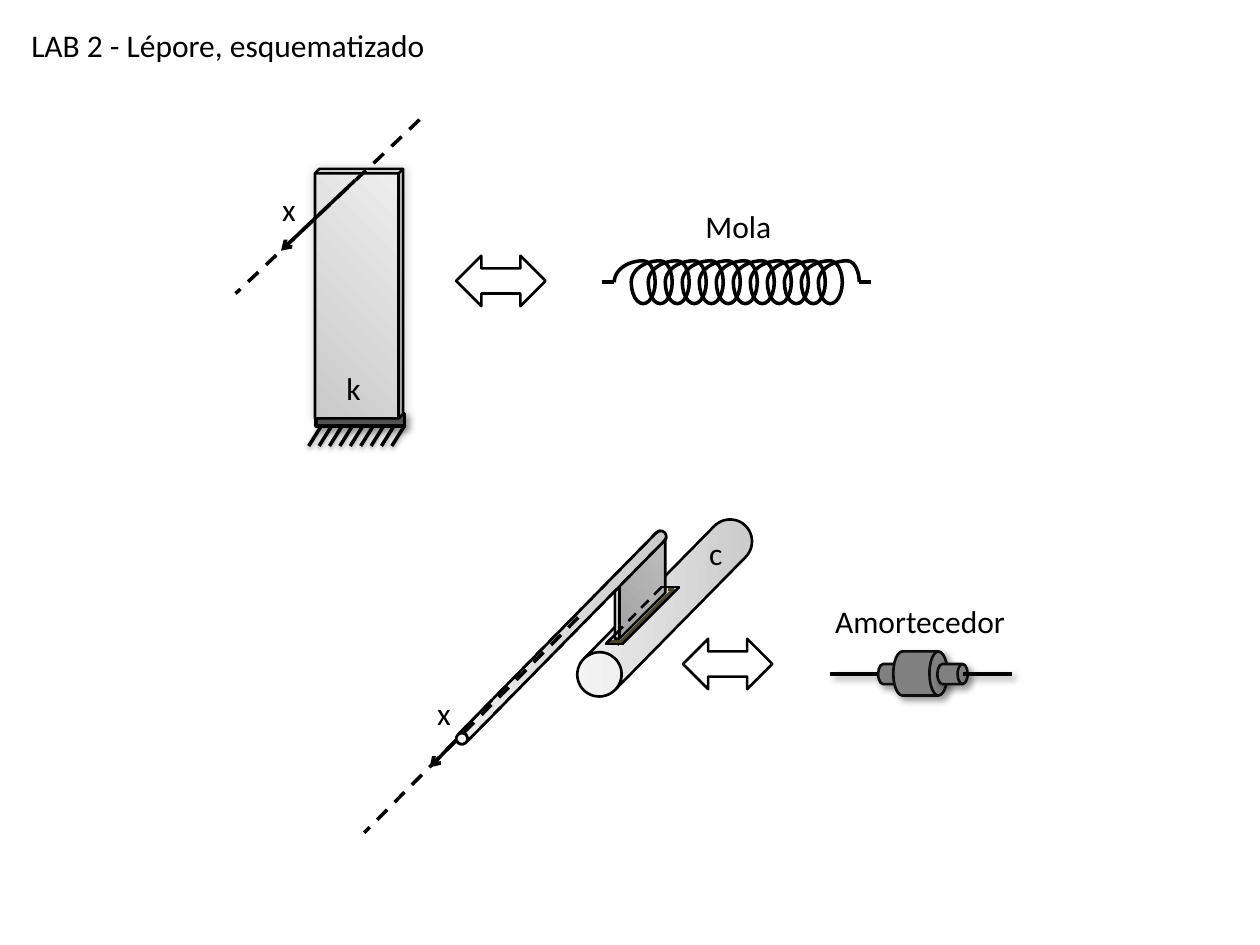
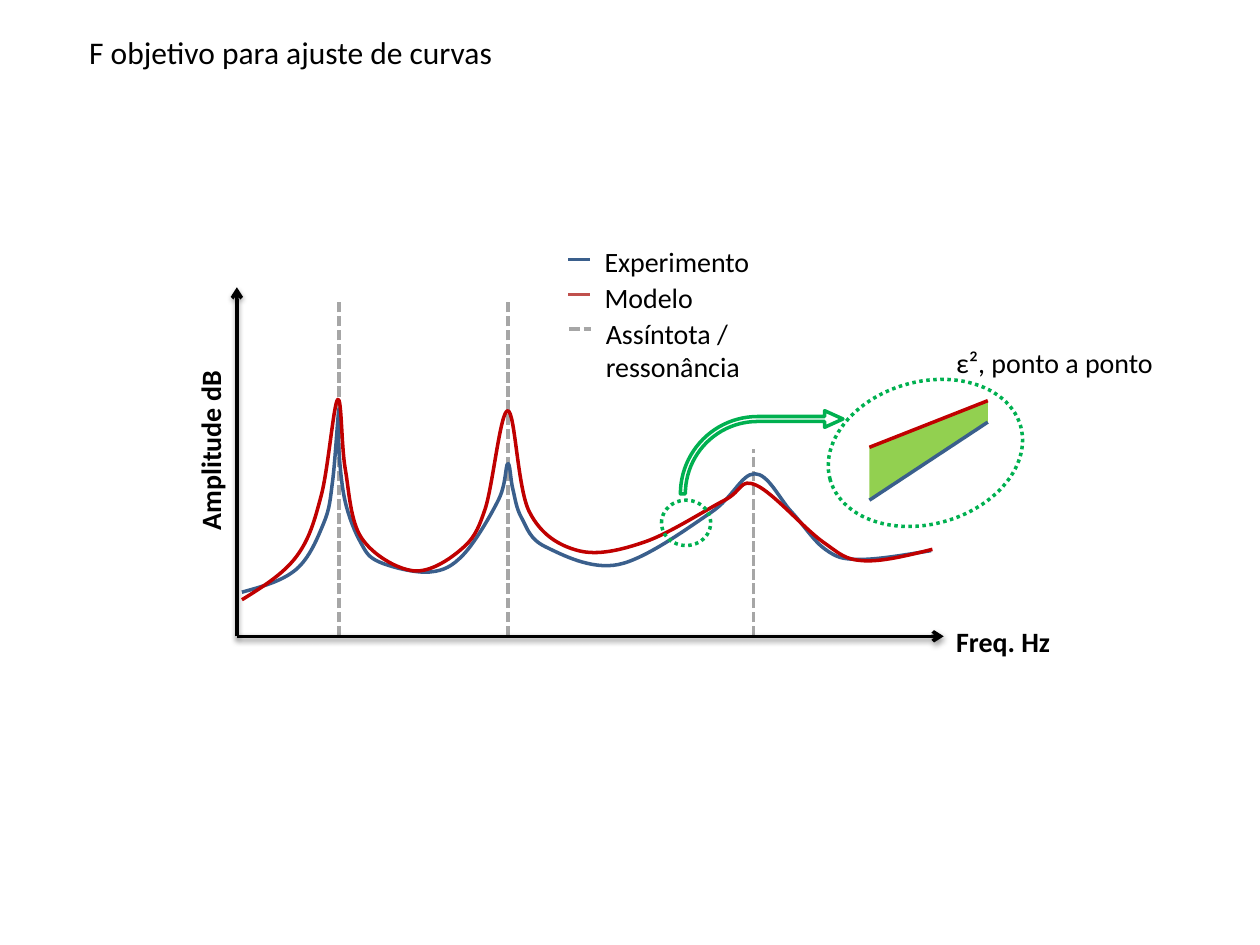
"""Build two slides on a vibration lab: mechanical analogies and curve fitting."""
from copy import deepcopy
from dataclasses import dataclass, replace
from typing import Any

from lxml.etree import SubElement
from pptx import Presentation
from pptx.dml.color import RGBColor
from pptx.enum.dml import MSO_LINE_DASH_STYLE as Dash
from pptx.enum.shapes import MSO_CONNECTOR as Link
from pptx.enum.shapes import MSO_SHAPE as Preset
from pptx.enum.text import MSO_AUTO_SIZE as AutoSize
from pptx.oxml.ns import qn
from pptx.slide import Slide
from pptx.util import Inches, Pt

FONT = "Calibri"
BLACK, GREY, EDGE, OLIVE = "000000", "A6A6A6", "0D0D0D", "4A452A"
BLUE, RED, SOFT_RED, GREEN, LIME = "3A5F8C", "C00000", "C0504D", "00B050", "92D050"
METAL = ("CACACA", "EEEEEE")
TITLE_SIZE, LEGEND_SIZE = 18, 16


@dataclass(frozen=True)
class Stroke:
    """Line look."""
    color: str = BLACK
    width: float = 2
    dash: Any = None
    arrow: bool = False


@dataclass(frozen=True)
class Shade:
    """Outer shadow: opacity in percent, blur and distance in points, angle in degrees."""
    opacity: int
    blur: float
    distance: float
    angle: int


@dataclass(frozen=True)
class Segment:
    """Straight line between two points."""
    x1: float
    y1: float
    x2: float
    y2: float
    stroke: Stroke = Stroke()
    shade: Shade | None = None


@dataclass(frozen=True)
class Solid:
    """Preset outline with no, plain or gradient fill."""
    preset: Any
    left: float
    top: float
    width: float
    height: float
    stroke: Stroke = Stroke()
    fill: tuple[str, ...] = ()
    adjust: tuple[float, ...] = ()
    rotation: float = 0
    shade: Shade | None = None


@dataclass(frozen=True)
class Label:
    """Text in one format."""
    text: str
    left: float
    top: float
    width: float
    height: float = 0.4
    size: int = TITLE_SIZE
    bold: bool = False
    rotation: float = 0
    wrap: bool = False


@dataclass(frozen=True)
class Outline:
    """Freeform through knots: a smooth open curve or a filled polygon."""
    knots: tuple[tuple[float, float], ...]
    stroke: Stroke | None = None
    fill: tuple[str, ...] = ()


THIN = Stroke(width=1.5)
THIN_DASH = Stroke(width=1.5, dash=Dash.DASH)
AXIS_DASH = Stroke(dash=Dash.DASH)
ARROW = Stroke(arrow=True)
RESONANCE = Stroke(GREY, dash=Dash.SQUARE_DOT)
FOCUS = Stroke(GREEN, dash=Dash.ROUND_DOT)
CAST = Shade(40, 4, 3, 45)
SOFT = Shade(38, 3.1, 1.6, 90)
HALO = Shade(20, 6, 0, 315)


def rgb(color: str) -> RGBColor:
    """Turn a hex string into a colour."""
    return RGBColor.from_string(color)


def apply(target: Any, values: dict[str, Any]) -> None:
    """Set every attribute of the dict on the target."""
    for attribute, value in values.items():
        setattr(target, attribute, value)


def paint_line(shape: Any, stroke: Stroke | None) -> None:
    """Give a shape or connector its line."""
    line = shape.line
    if stroke is None:
        line.fill.background()
        return
    line.color.rgb = rgb(stroke.color)
    apply(line, {"width": Pt(stroke.width), "dash_style": stroke.dash})
    if stroke.arrow:
        SubElement(shape._element.spPr.find(qn("a:ln")), qn("a:tailEnd"), type="arrow")


def paint_fill(shape: Any, colors: tuple[str, ...]) -> None:
    """Fill with nothing, one colour or a gradient."""
    if not colors:
        shape.fill.background()
    elif len(colors) == 1:
        shape.fill.solid()
        shape.fill.fore_color.rgb = rgb(colors[0])
    else:
        shape.fill.gradient()
        shape.fill.gradient_angle = 45
        for stop, color in zip(shape.fill.gradient_stops, colors):
            stop.color.rgb = rgb(color)


def cast_shadow(shape: Any, shade: Shade | None) -> None:
    """Replace the theme shadow by the given one or by none."""
    effects = SubElement(shape._element.spPr, qn("a:effectLst"))
    if shade:
        outer = SubElement(effects, qn("a:outerShdw"), blurRad=str(Pt(shade.blur)),
                           dist=str(Pt(shade.distance)), dir=str(shade.angle * 60000),
                           algn="ctr", rotWithShape="0")
        color = SubElement(outer, qn("a:srgbClr"), val=BLACK)
        SubElement(color, qn("a:alpha"), val=str(shade.opacity * 1000))


def draw_segment(slide: Slide, item: Segment) -> None:
    """Draw a straight line."""
    ends = map(Inches, (item.x1, item.y1, item.x2, item.y2))
    connector = slide.shapes.add_connector(Link.STRAIGHT, *ends)
    paint_line(connector, item.stroke)
    cast_shadow(connector, item.shade)


def draw_solid(slide: Slide, item: Solid) -> None:
    """Draw a preset shape."""
    frame = map(Inches, (item.left, item.top, item.width, item.height))
    shape = slide.shapes.add_shape(item.preset, *frame)
    shape.rotation = item.rotation
    for index, value in enumerate(item.adjust):
        shape.adjustments[index] = value
    paint_fill(shape, item.fill)
    paint_line(shape, item.stroke)
    cast_shadow(shape, item.shade)


def draw_label(slide: Slide, item: Label) -> None:
    """Draw a text box."""
    frame = map(Inches, (item.left, item.top, item.width, item.height))
    box = slide.shapes.add_textbox(*frame)
    box.rotation = item.rotation
    apply(box.text_frame, {"text": item.text, "word_wrap": item.wrap,
                           "auto_size": AutoSize.SHAPE_TO_FIT_TEXT})
    font = box.text_frame.paragraphs[0].runs[0].font
    apply(font, {"name": FONT, "size": Pt(item.size), "bold": item.bold})
    font.color.rgb = rgb(BLACK)


def smooth_path(shape: Any) -> None:
    """Turn the straight segments of a freeform into a spline through its knots."""
    path = shape._element.spPr.find(".//" + qn("a:path"))
    knots = [(int(pt.get("x")), int(pt.get("y"))) for pt in path.iter(qn("a:pt"))]
    last = len(knots) - 1

    def handle(index: int, side: int) -> tuple[float, ...]:
        """Control point beside an inner knot."""
        return tuple(k + side * (b - a) / 6 for a, k, b in
                     zip(knots[index - 1], knots[index], knots[index + 1]))

    def middle(a: tuple[float, ...], b: tuple[float, ...]) -> tuple[float, ...]:
        """Point halfway between two points."""
        return tuple((p + q) / 2 for p, q in zip(a, b))

    for index, straight in enumerate(path.findall(qn("a:lnTo"))):
        end = index + 1
        if index == 0:
            arrive = handle(end, -1)
            leave = middle(knots[0], arrive)
        else:
            leave = handle(index, 1)
            arrive = middle(leave, knots[end]) if end == last else handle(end, -1)
        bend = SubElement(path, qn("a:cubicBezTo"))
        for x, y in (leave, arrive):
            SubElement(bend, qn("a:pt"), x=str(round(x)), y=str(round(y)))
        bend.append(deepcopy(straight[0]))
        path.remove(straight)


def draw_outline(slide: Slide, item: Outline) -> None:
    """Draw a freeform."""
    start, *others = [(Inches(x), Inches(y)) for x, y in item.knots]
    builder = slide.shapes.build_freeform(*start)
    builder.add_line_segments(others, close=bool(item.fill))
    shape = builder.convert_to_shape()
    paint_fill(shape, item.fill)
    paint_line(shape, item.stroke)
    cast_shadow(shape, None)
    if not item.fill:
        smooth_path(shape)


DRAWERS = {Segment: draw_segment, Solid: draw_solid, Label: draw_label, Outline: draw_outline}


def spring() -> list[Any]:
    """Coil spring with its leads and name."""
    pitch, turns, top, height, axis = 0.135, 12, 2.07, 0.34, 2.24
    parts: list[Any] = []
    for turn in range(turns + 1):
        left = 5.01 + turn * pitch
        finish = 215.89 if turn == turns else 108.12
        parts += [Solid(Preset.ARC, left - pitch, top, 0.46, height, adjust=(107.91, 161.95)),
                  Solid(Preset.ARC, left, top, 0.19, height, adjust=(161.12, finish))]
    leads = [Segment(x, axis, x + 0.09, axis) for x in (4.78, 6.82)]
    return parts + leads + [Label("Mola", 5.5, 1.59, 0.73)]


def blade() -> list[Any]:
    """Clamped blade with its displacement axis."""
    hatches = [Segment(2.45 + i * 0.0825, 3.54, 2.55 + i * 0.0825, 3.38, shade=SOFT)
               for i in range(9)]
    return [Solid(Preset.LEFT_RIGHT_ARROW, 3.62, 2.03, 0.71, 0.4, THIN),
            Label("x", 2.14, 1.46, 0.31),
            Solid(Preset.RECTANGLE, 2.81, 2.98, 0.1, 0.7, fill=("595959",),
                  rotation=270, shade=CAST),
            *hatches,
            Solid(Preset.CUBE, 2.5, 1.34, 0.7, 1.98, THIN, METAL, (0.05,), shade=HALO),
            Label("k", 2.65, 2.88, 0.32),
            Segment(2.82, 1.43, 2.23, 1.99, ARROW),
            Segment(3.33, 0.95, 1.87, 2.33, AXIS_DASH)]


def tube() -> list[Any]:
    """Rod and plate sliding over a slotted tube."""
    slot = Stroke(OLIVE, 1.5)
    back, side = Segment(5.24, 4.66, 5.39, 4.66, THIN), Segment(5.25, 4.66, 4.81, 5.11, THIN)
    rod = Solid(Preset.CAN, 4.41, 3.89, 0.09, 2.34, THIN, METAL, (1.01,), 224.5)
    return [Segment(4.12, 5.37, 3.41, 6.09, ARROW),
            replace(rod, left=5.1, top=3.91, width=0.35, height=1.83),
            Segment(5.35, 4.67, 4.9, 5.12, slot),
            Segment(4.82, 5.09, 4.97, 5.09, slot),
            Segment(5.3, 4.68, 5.35, 4.68, slot),
            back, side,
            Solid(Preset.CUBE, 4.88, 4.26, 0.4, 0.81, THIN, METAL, (0.91,)),
            rod, replace(rod, stroke=THIN_DASH, fill=()),
            Segment(4.8, 5.11, 4.95, 5.11, THIN),
            Segment(5.39, 4.66, 4.94, 5.11, THIN),
            replace(back, stroke=THIN_DASH), replace(side, stroke=THIN_DASH),
            Label("c", 5.53, 4.19, 0.31),
            Solid(Preset.LEFT_RIGHT_ARROW, 5.42, 5.07, 0.71, 0.4, THIN)]


def damper() -> list[Any]:
    """Damper symbol with its rods, name and axis."""
    drums = [Solid(Preset.FLOWCHART_DIRECT_ACCESS_STORAGE, *frame, Stroke(EDGE, 1.5),
                   ("808080",), shade=CAST)
             for frame in ((6.97, 5.27, 0.24, 0.16), (7.09, 5.17, 0.43, 0.35),
                           (7.44, 5.27, 0.24, 0.16))]
    left_rod, right_rod = [Segment(x, 5.35, x + 0.39, 5.35, shade=CAST) for x in (6.59, 7.64)]
    return [left_rod, *drums, right_rod, Label("Amortecedor", 6.53, 4.73, 1.56),
            Label("x", 3.37, 5.46, 0.31), Segment(4.59, 4.9, 2.89, 6.61, AXIS_DASH)]


def response_plot() -> list[Any]:
    """Axes, resonances, legend and the two response curves."""
    base = 5.05
    experiment = ((1.92, 4.7), (2.35, 4.52), (2.57, 4.15), (2.64, 3.82), (2.69, 3.25),
                  (2.69, 3.57), (2.74, 3.98), (2.86, 4.3), (3.01, 4.46), (3.41, 4.54),
                  (3.68, 4.4), (3.96, 3.96), (4.03, 3.68), (4.07, 3.88), (4.14, 4.11),
                  (4.33, 4.34), (4.91, 4.48), (5.64, 4.07), (5.99, 3.76), (6.28, 4.06),
                  (6.55, 4.36), (6.82, 4.44), (7.39, 4.37))
    model = ((1.92, 4.76), (2.35, 4.42), (2.55, 3.93), (2.68, 3.17), (2.74, 3.72),
             (2.87, 4.27), (3.28, 4.53), (3.66, 4.36), (3.85, 4.04), (4.03, 3.26),
             (4.2, 4.06), (4.59, 4.37), (5.12, 4.3), (5.75, 3.97), (6, 3.85),
             (6.53, 4.3), (6.85, 4.45), (7.4, 4.36))
    keys = ((4.51, 2.06, Stroke(BLUE, 1.5)), (4.51, 2.34, Stroke(SOFT_RED, 1.5)),
            (4.52, 2.61, RESONANCE))
    return [*(Segment(x, base, x, top, RESONANCE)
              for x, top in ((2.69, 2.37), (4.03, 2.37), (5.98, 3.56))),
            Segment(1.88, base, 1.88, 2.28, ARROW, SOFT),
            Segment(1.88, base, 7.49, base, ARROW, SOFT),
            *(Segment(x, y, x + 0.17, y, stroke) for x, y, stroke in keys),
            Label("Experimento", 4.7, 1.89, 1.46, 0.37, LEGEND_SIZE),
            Label("Modelo", 4.7, 2.18, 0.94, 0.37, LEGEND_SIZE),
            Label("Assíntota / ressonância", 4.71, 2.46, 2, 0.32, LEGEND_SIZE, wrap=True),
            Label("Amplitude dB", 0.84, 3.29, 1.66, 0.37, LEGEND_SIZE, True, 270),
            Label("Freq. Hz", 7.49, 4.91, 1.09, 0.37, LEGEND_SIZE, True),
            Outline(experiment, Stroke(BLUE)), Outline(model, Stroke(RED))]


def error_zoom() -> list[Any]:
    """Enlarged gap between the curves."""
    left, right = 6.9, 7.84
    gap = ((left, 3.55), (right, 3.18), (right, 3.35), (left, 3.97))
    return [Label("ε², ponto a ponto", 7.49, 2.69, 1.88, 0.37, LEGEND_SIZE),
            Solid(Preset.OVAL, 5.25, 3.97, 0.39, 0.36, FOCUS),
            Solid(Preset.BENT_ARROW, 5.4, 3.26, 1.29, 0.66, Stroke(GREEN),
                  adjust=(0.06, 0.1, 0.22, 0.93)),
            Outline(gap, fill=(LIME,)),
            Segment(*gap[0], *gap[1], Stroke(RED)),
            Segment(*gap[3], *gap[2], Stroke(BLUE)),
            Solid(Preset.OVAL, 6.56, 3.03, 1.57, 1.13, FOCUS, rotation=344.3)]


def main() -> None:
    """Draw both slides and save them."""
    deck = Presentation()
    apply(deck, {"slide_width": Inches(10), "slide_height": Inches(7.5)})
    analogies = [Label("LAB 2 - Lépore, esquematizado", 0.15, 0.16, 3.36),
                 *spring(), *blade(), *tube(), *damper()]
    fitting = [*response_plot(), *error_zoom(),
               Label("F objetivo para ajuste de curvas", 0.61, 0.21, 3.44)]
    for content in (analogies, fitting):
        slide = deck.slides.add_slide(deck.slide_layouts[6])
        for item in content:
            DRAWERS[type(item)](slide, item)
    deck.save("out.pptx")


if __name__ == "__main__":
    main()
